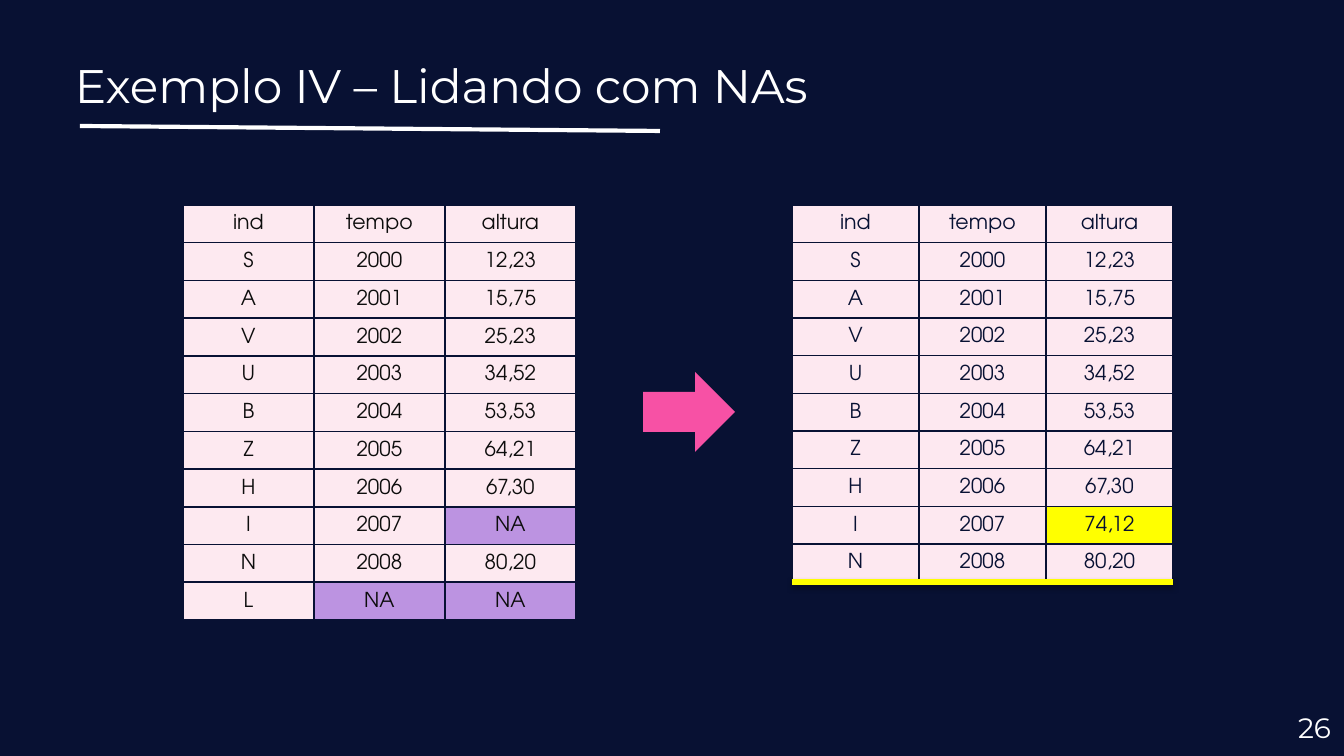
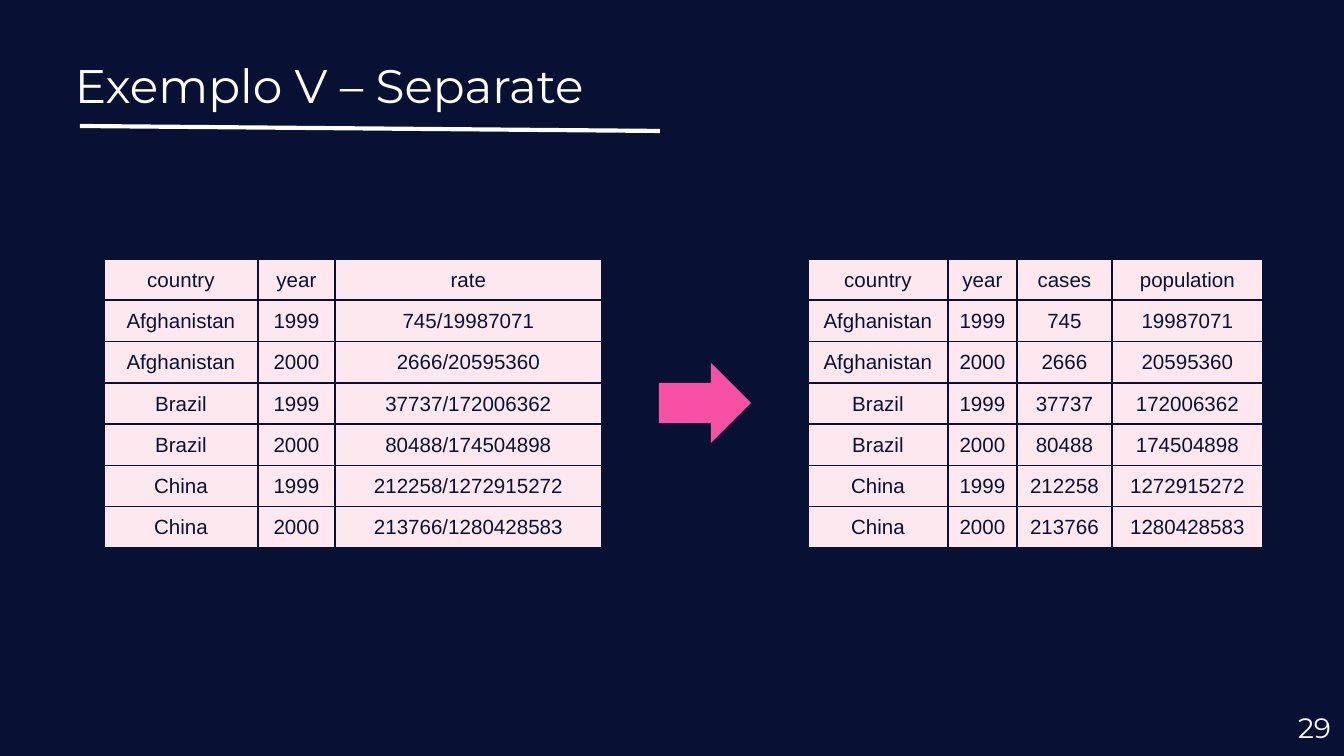
from lxml.etree import SubElement
from pptx import Presentation
from pptx.dml.color import RGBColor
from pptx.enum.shapes import MSO_CONNECTOR, MSO_SHAPE
from pptx.enum.text import MSO_ANCHOR, PP_ALIGN
from pptx.oxml import parse_xml
from pptx.oxml.ns import nsdecls, qn
from pptx.util import Emu, Pt

COLORS = {
    "navy": "081133", "white": "FFFFFF", "ink": "0D0D0D", "pink": "F751A5",
    "blush": "FDE9F0", "rose": "FDE8F0", "purple": "BC93E1", "yellow": "FFFF00",
}
TITLE_FONT = "Montserrat"
SCALE = 914400 / 134.4  # EMU in one px

# Content: heights measured by individual, with the gaps then resolved
MEASURES = [
    ("ind", "tempo", "altura"),
    ("S", "2000", "12,23"), ("A", "2001", "15,75"), ("V", "2002", "25,23"),
    ("U", "2003", "34,52"), ("B", "2004", "53,53"), ("Z", "2005", "64,21"),
    ("H", "2006", "67,30"), ("I", "2007", "NA"), ("N", "2008", "80,20"),
    ("L", "NA", "NA"),
]
FILLED_VALUE = "74,12"
FILLED = [tuple(FILLED_VALUE if text == "NA" else text for text in row)
          for row in MEASURES[:-1]]

# Content: cases and population, joined as a rate and then separated
CASES = [
    ("Afghanistan", "1999", "745", "19987071"),
    ("Afghanistan", "2000", "2666", "20595360"),
    ("Brazil", "1999", "37737", "172006362"),
    ("Brazil", "2000", "80488", "174504898"),
    ("China", "1999", "212258", "1272915272"),
    ("China", "2000", "213766", "1280428583"),
]
SEPARATED = [("country", "year", "cases", "population")] + CASES
JOINED = [("country", "year", "rate")] + [
    (country, year, f"{cases}/{population}")
    for country, year, cases, population in CASES]

HIGHLIGHTS = {"NA": "purple", FILLED_VALUE: "yellow"}
SLIDES = [
    {
        "title": "Exemplo IV – Lidando com NAs", "number": "26",
        "font": "TeX Gyre Adventor", "arrow": (643, 372),
        "tables": [
            {"rows": MEASURES, "at": (183, 205), "columns": (131, 131, 131),
             "height": 415, "fill": "blush", "ink": "ink"},
            {"rows": FILLED, "at": (792, 205), "columns": (127, 127, 127),
             "height": 377, "fill": "rose", "ink": "navy"},
        ],
        "cut_line": (792, 582, 1173, 582),
    },
    {
        "title": "Exemplo V – Separate", "number": "29",
        "font": "Arial", "arrow": (659, 363),
        "tables": [
            {"rows": JOINED, "at": (104, 259), "columns": (154, 77, 267),
             "height": 289, "fill": "rose", "ink": "navy"},
            {"rows": SEPARATED, "at": (808, 259), "columns": (140, 69, 95, 151),
             "height": 289, "fill": "rose", "ink": "navy"},
        ],
    },
]


def px(length):
    return Emu(round(length * SCALE))


def rgb(name):
    return RGBColor.from_string(COLORS[name])


def style(paragraph, font, size, color, align):
    paragraph.alignment = align
    paragraph.font.name = font
    paragraph.font.size = Pt(size)
    paragraph.font.color.rgb = rgb(color)


def add_text(slide, text, box, size, align, anchor):
    frame = slide.shapes.add_textbox(*map(px, box)).text_frame
    frame.word_wrap = True
    frame.vertical_anchor = anchor
    frame.margin_left = frame.margin_right = px(13)
    frame.margin_top = frame.margin_bottom = px(13)
    frame.text = text
    style(frame.paragraphs[0], TITLE_FONT, size, "white", align)


def add_line(slide, ends, color, width):
    """Draw a line and return its empty effect list."""
    line = slide.shapes.add_connector(MSO_CONNECTOR.STRAIGHT, *map(px, ends))
    line.line.color.rgb = rgb(color)
    line.line.width = Pt(width)
    return SubElement(line._element.spPr, qn("a:effectLst"))


def add_shadow(effects):
    effects.append(parse_xml(
        f'<a:outerShdw {nsdecls("a")} blurRad="{Pt(3.1)}" dist="{Pt(1.8)}" '
        'dir="5400000" rotWithShape="0"><a:srgbClr val="000000">'
        '<a:alpha val="35000"/></a:srgbClr></a:outerShdw>'))


def add_borders(cell):
    properties = cell._tc.get_or_add_tcPr()
    for side in ("lnL", "lnR", "lnT", "lnB"):
        properties.append(parse_xml(
            f'<a:{side} {nsdecls("a")} w="{Pt(1)}"><a:solidFill>'
            f'<a:srgbClr val="{COLORS["navy"]}"/></a:solidFill></a:{side}>'))


def add_data_table(slide, data, font):
    rows, columns = data["rows"], data["columns"]
    box = (*data["at"], sum(columns), data["height"])
    table = slide.shapes.add_table(len(rows), len(columns), *map(px, box)).table
    table.first_row = table.horz_banding = False
    for column, width in zip(table.columns, columns):
        column.width = px(width)
    for table_row, row in zip(table.rows, rows):
        table_row.height = px(data["height"] / len(rows))
        for cell, text in zip(table_row.cells, row):
            cell.text = text
            cell.vertical_anchor = MSO_ANCHOR.MIDDLE
            cell.margin_left = cell.margin_right = cell.margin_top = px(1)
            cell.margin_bottom = 0
            add_borders(cell)
            cell.fill.solid()
            cell.fill.fore_color.rgb = rgb(HIGHLIGHTS.get(text, data["fill"]))
            style(cell.text_frame.paragraphs[0], font, 11, data["ink"],
                  PP_ALIGN.CENTER)


def add_arrow(slide, corner):
    arrow = slide.shapes.add_shape(
        MSO_SHAPE.RIGHT_ARROW, *map(px, (*corner, 92, 80)))
    arrow.shadow.inherit = False
    arrow.fill.solid()
    arrow.fill.fore_color.rgb = rgb("pink")
    arrow.line.fill.background()


def add_frame(slide, title, number):
    """Background, underlined title and page number of every slide."""
    slide.background.fill.solid()
    slide.background.fill.fore_color.rgb = rgb("navy")
    add_line(slide, (80, 126, 660, 131), "white", 2.25)
    add_text(slide, title, (62, 43, 1253, 85), 25.2,
             PP_ALIGN.LEFT, MSO_ANCHOR.TOP)
    add_text(slide, number, (1263, 698, 81, 58), 15,
             PP_ALIGN.RIGHT, MSO_ANCHOR.MIDDLE)


def main():
    presentation = Presentation()
    presentation.slide_width, presentation.slide_height = px(1344), px(756)
    for content in SLIDES:
        slide = presentation.slides.add_slide(presentation.slide_layouts[6])
        add_frame(slide, content["title"], content["number"])
        for data in content["tables"]:
            add_data_table(slide, data, content["font"])
        add_arrow(slide, content["arrow"])
        if "cut_line" in content:
            add_shadow(add_line(slide, content["cut_line"], "yellow", 3))
    presentation.save("out.pptx")


if __name__ == "__main__":
    main()
